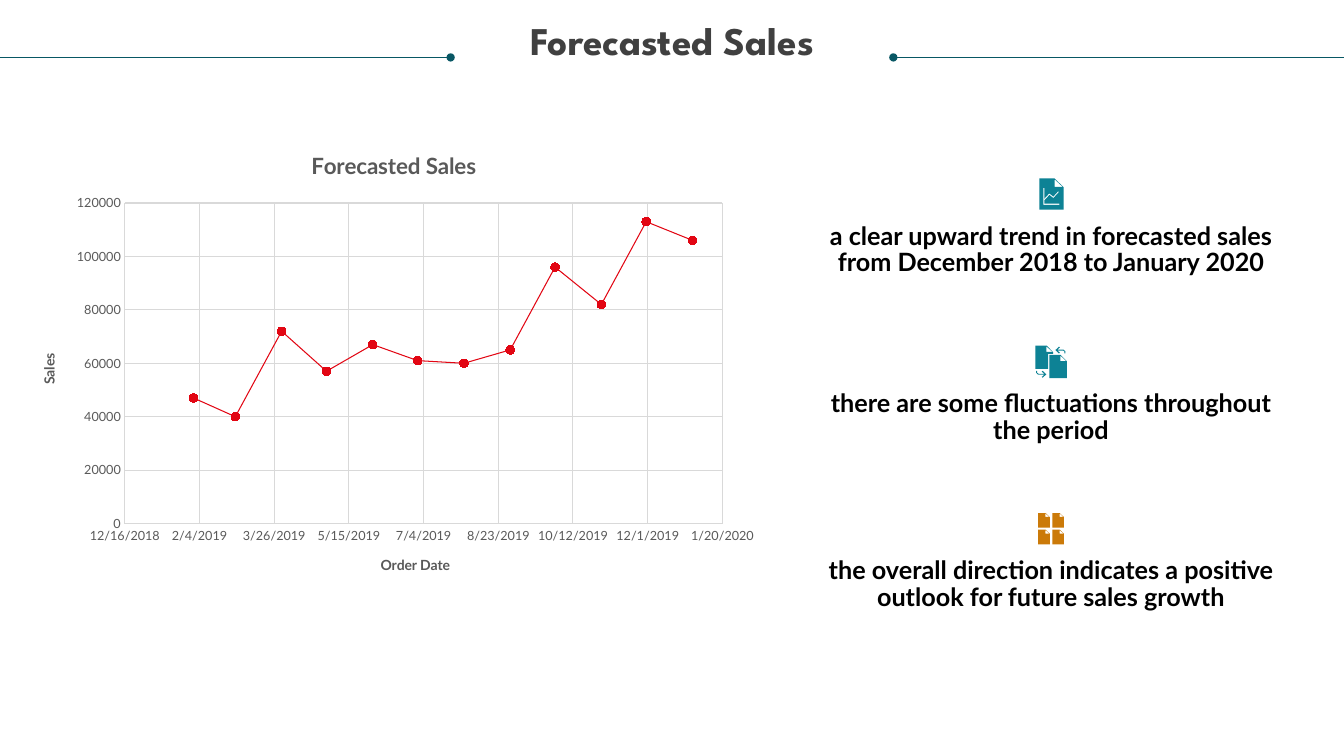
import itertools
from dataclasses import dataclass

import pptx
import pptx.chart.data
import pptx.dml.color
import pptx.enum.chart
import pptx.enum.shapes
import pptx.enum.text
import pptx.oxml
import pptx.oxml.ns
import pptx.util
from lxml import etree


@dataclass(frozen=True)
class Theme:
    heading_font: str = "League Spartan"
    body_font: str = "Lato"
    heading: str = "404040"
    body: str = "000000"
    chart_text: str = "595959"
    grid: str = "D9D9D9"
    rule: str = "085764"
    teal: str = "0D8295"
    orange: str = "CB7A09"
    series: str = "E20613"
    heading_size: int = 28
    body_size: int = 18
    chart_title_size: int = 16
    axis_title_size: int = 10
    tick_size: int = 9


# Outlines are shares of the box they are drawn in.
PAGE = [
    [(0, 0), (.63, 0), (1, .28), (1, 1), (0, 1)],
    [(.63, .03), (.97, .27), (.63, .27)],
]
TREND = [(.17, .3), (.21, .3), (.21, .65), (.41, .48), (.58, .58), (.77, .42), (.83, .42),
         (.58, .63), (.42, .53), (.21, .7), (.21, .81), (.83, .81), (.83, .85), (.17, .85)]
BACK_PAGE = [
    [(0, 0), (.65, 0), (1, .28), (1, .35), (.72, .35), (.72, 1), (0, 1)],
    PAGE[1],
]
ARROW = [(0, .5), (.35, 0), (.45, .1), (.2, .43), (.8, .43), (1, .7), (1, 1),
         (.9, 1), (.9, .7), (.75, .57), (.2, .57), (.45, .9), (.35, 1)]
RETURN_ARROW = [(1 - x, 1 - y) for x, y in ARROW]

NOTES = [
    "a clear upward trend in forecasted sales from December 2018 to January 2020",
    "there are some fluctuations throughout the period",
    "the overall direction indicates a positive outlook for future sales growth",
]
ICON_TOP, NOTE_TOP, NOTE_PITCH = 23.6, 29.6, 22.13

DECEMBER_END = 43465  # spreadsheet serial of 12/31/2018
MONTH_DAYS = [31, 28, 31, 30, 31, 30, 31, 31, 30, 31, 30, 31]
SALES = [47000, 40000, 72000, 57000, 67000, 61000,
         60000, 65000, 96000, 82000, 113000, 106000]


def rgb(color):
    return pptx.dml.color.RGBColor.from_string(color)


def style_font(font, name, size, color, bold=False):
    font.name = name
    font.size = pptx.util.Pt(size)
    font.bold = bold
    font.color.rgb = rgb(color)


def write_text(frame, text, *, name, size, color, bold=False, spacing=None, align=None):
    paragraph = frame.paragraphs[0]
    paragraph.alignment = align
    if spacing is not None:
        paragraph.line_spacing = spacing
    run = paragraph.add_run()
    run.text = text
    style_font(run.font, name, size, color, bold)


class SlideBuilder:
    """Draws on one slide; every length is a percentage of the slide's size."""

    def __init__(self, presentation, theme):
        self.theme = theme
        self.width = presentation.slide_width
        self.height = presentation.slide_height
        self.slide = presentation.slides.add_slide(presentation.slide_layouts[6])

    def across(self, share):
        return round(self.width * share / 100)

    def down(self, share):
        return round(self.height * share / 100)

    def box(self, left, top, width, height):
        return self.across(left), self.down(top), self.across(width), self.down(height)

    def text(self, text, box, **style):
        frame = self.slide.shapes.add_textbox(*self.box(*box)).text_frame
        frame.word_wrap = True
        frame.margin_left = frame.margin_right = 0
        frame.margin_top = frame.margin_bottom = 0
        write_text(frame, text, align=pptx.enum.text.PP_ALIGN.CENTER, **style)

    def rule(self, start, end, level):
        """Draw a horizontal line that finishes in a dot."""
        line = self.slide.shapes.add_connector(
            pptx.enum.shapes.MSO_CONNECTOR.STRAIGHT,
            self.across(start), self.down(level), self.across(end), self.down(level))
        line.line.color.rgb = rgb(self.theme.rule)
        line.line.width = pptx.util.Pt(0.5)
        etree.SubElement(line.line._get_or_add_ln(), pptx.oxml.ns.qn("a:tailEnd"), type="oval")
        etree.SubElement(line._element.spPr, pptx.oxml.ns.qn("a:effectLst"))

    def outline(self, contours, box, color):
        left, top, width, height = self.box(*box)
        units = 1000
        scaled = [[(x * units, y * units) for x, y in contour] for contour in contours]
        builder = self.slide.shapes.build_freeform(
            *scaled[0][0], scale=(width / units, height / units))
        for number, (start, *rest) in enumerate(scaled):
            if number:
                builder.move_to(*start)
            builder.add_line_segments(rest, close=True)
        shape = builder.convert_to_shape(left, top)
        shape.shadow.inherit = False
        shape.fill.solid()
        shape.fill.fore_color.rgb = rgb(color)
        shape.line.fill.background()

    def axis(self, axis, title, limits, number_format):
        theme = self.theme
        axis.minimum_scale, axis.maximum_scale, axis.major_unit = limits
        axis.has_major_gridlines = True
        axis.major_gridlines.format.line.color.rgb = rgb(theme.grid)
        axis.major_gridlines.format.line.width = pptx.util.Pt(0.75)
        axis.major_tick_mark = axis.minor_tick_mark = pptx.enum.chart.XL_TICK_MARK.NONE
        axis.tick_labels.number_format = number_format
        axis.tick_labels.number_format_is_linked = False
        style_font(axis.tick_labels.font, theme.body_font, theme.tick_size, theme.chart_text)
        write_text(axis.axis_title.text_frame, title, name=theme.body_font,
                   size=theme.axis_title_size, color=theme.chart_text, bold=True)

    def sales_chart(self, box):
        theme = self.theme
        data = pptx.chart.data.XyChartData()
        sales = data.add_series("Forecasted Sales")
        month_ends = list(itertools.accumulate(MONTH_DAYS, initial=DECEMBER_END))[1:]
        for date, amount in zip(month_ends, SALES):
            sales.add_data_point(date, amount)
        chart = self.slide.shapes.add_chart(
            pptx.enum.chart.XL_CHART_TYPE.XY_SCATTER_LINES, *self.box(*box), data).chart
        style_font(chart.font, theme.body_font, theme.axis_title_size, theme.body)
        chart.has_legend = False
        chart.has_title = True
        write_text(chart.chart_title.text_frame, "Forecasted Sales", name=theme.body_font,
                   size=theme.chart_title_size, color=theme.chart_text, bold=True)
        chart.plots[0].vary_by_categories = False
        self.axis(chart.category_axis, "Order Date", (43450, 43850, 50), "m/d/yyyy")
        self.axis(chart.value_axis, "Sales", (0, 120000, 20000), "General")
        chart.category_axis.format.line.color.rgb = rgb(theme.grid)
        chart.category_axis.format.line.width = pptx.util.Pt(1)
        chart.value_axis.format.line.fill.background()

        series = chart.plots[0].series[0]
        series.smooth = False
        series.format.line.color.rgb = rgb(theme.series)
        series.format.line.width = pptx.util.Pt(0.75)
        series.marker.style = pptx.enum.chart.XL_MARKER_STYLE.CIRCLE
        series.marker.size = 6
        series.marker.format.fill.solid()
        series.marker.format.fill.fore_color.rgb = rgb(theme.series)
        series.marker.format.line.color.rgb = rgb(theme.series)
        self.place_plot(chart, x=0.14, y=0.155, w=0.8, h=0.69)

    def place_plot(self, chart, **shares):
        """Fix the inner plot area as shares of the chart."""
        area = chart._chartSpace.chart.plotArea
        for old in area.findall(pptx.oxml.ns.qn("c:layout")):
            area.remove(old)
        settings = {"layoutTarget": "inner", "xMode": "edge", "yMode": "edge", **shares}
        items = "".join(f'<c:{key} val="{value}"/>' for key, value in settings.items())
        area.insert(0, pptx.oxml.parse_xml(
            f'<c:layout {pptx.oxml.ns.nsdecls("c")}><c:manualLayout>{items}'
            '</c:manualLayout></c:layout>'))


def main():
    theme = Theme()
    presentation = pptx.Presentation()
    presentation.slide_width = pptx.util.Inches(13.33)
    presentation.slide_height = pptx.util.Inches(7.5)
    page = SlideBuilder(presentation, theme)

    page.text("Forecasted Sales", (1.87, 2.8, 96.26, 9.73), name=theme.heading_font,
              size=theme.heading_size, color=theme.heading, bold=True, spacing=0.9)
    for edge, inner_end in ((0, 33.53), (100, 66.47)):
        page.rule(edge, inner_end, 7.6)
    page.sales_chart((1.5, 17.33, 55.59, 61.47))

    for row, note in enumerate(NOTES):
        page.text(note, (60.68, NOTE_TOP + row * NOTE_PITCH, 35.03, 7.07),
                  name=theme.body_font, size=theme.body_size, color=theme.body,
                  bold=True, spacing=pptx.util.Pt(19))

    trend_top, exchange_top, pages_top = (ICON_TOP + row * NOTE_PITCH for row in range(3))
    page.outline(PAGE + [TREND], (77.33, trend_top, 1.8, 4.13), theme.teal)
    for contours, left, offset, width, height in (
            (BACK_PAGE, 77.03, 0, 1.33, 3.07), (PAGE, 78.08, 1.2, 1.3, 3.07),
            ([ARROW], 78.53, 0.13, 0.75, 0.9), ([RETURN_ARROW], 77.1, 3.33, 0.75, 0.9)):
        page.outline(contours, (left, exchange_top + offset, width, height), theme.teal)
    for column, row in itertools.product(range(2), repeat=2):
        page.outline(PAGE, (77.25 + column * 1.05, pages_top + row * 2.2, 0.86, 1.95),
                     theme.orange)

    presentation.save("out.pptx")


if __name__ == "__main__":
    main()
